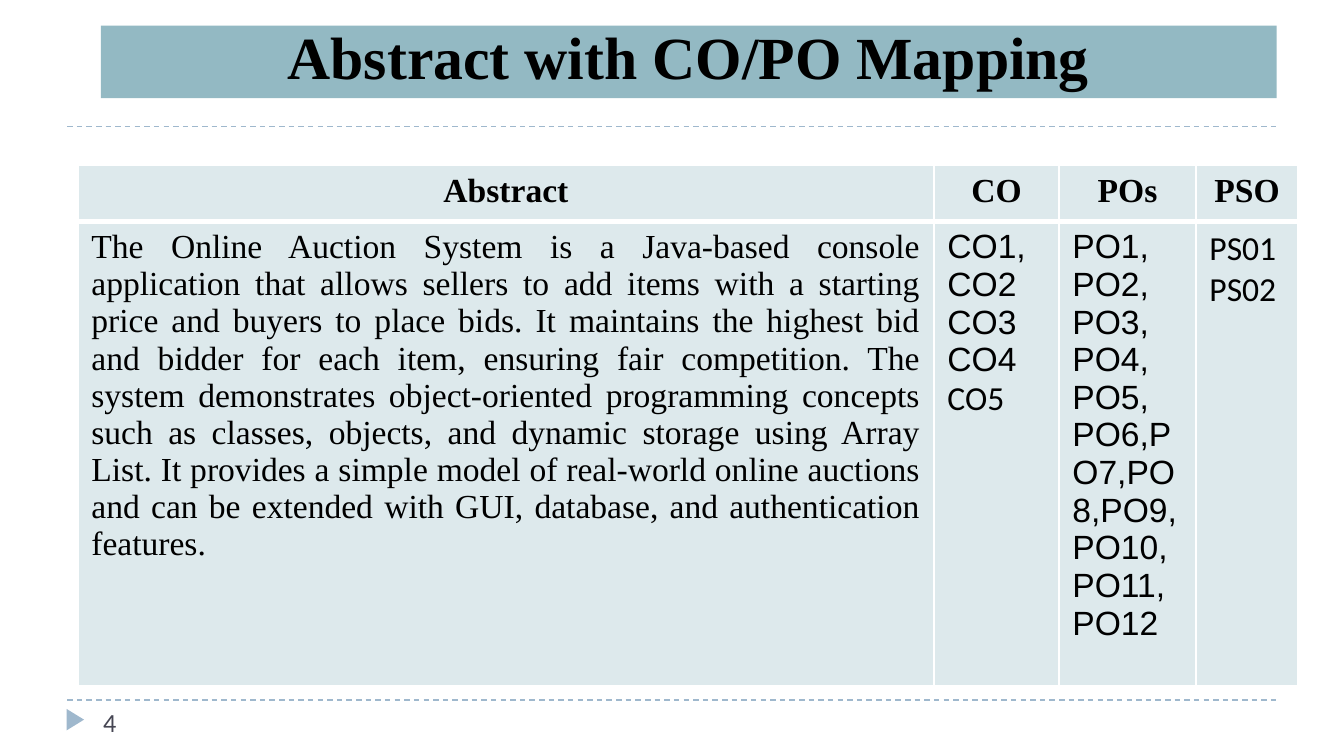
"""Build the abstract slide with its CO/PO mapping table."""
from pptx import Presentation
from pptx.dml.color import RGBColor
from pptx.enum.dml import MSO_LINE
from pptx.enum.shapes import MSO_CONNECTOR, MSO_SHAPE
from pptx.enum.text import MSO_ANCHOR, PP_ALIGN
from pptx.oxml.ns import qn
from pptx.util import Inches, Pt
from lxml import etree

DASH = MSO_LINE.DASH
LINE = MSO_CONNECTOR.STRAIGHT
TRIANGLE = MSO_SHAPE.ISOSCELES_TRIANGLE
BOTTOM = MSO_ANCHOR.BOTTOM
LEFT, CENTER, JUSTIFY = PP_ALIGN.LEFT, PP_ALIGN.CENTER, PP_ALIGN.JUSTIFY
SERIF, ARIAL, CALIBRI = "Times New Roman", "Arial", "Calibri"
COLORS = {"rule": "9FB8CD", "title": "93B9C3", "cell": "DDE9EC",
          "text": "000000", "number": "464653", "border": "FFFFFF"}


def style(para, font, size, color="text", bold=False, align=LEFT):
    para.alignment = align
    for run in para.runs:
        run.font.name = font
        run.font.size = Pt(size)
        run.font.bold = bold
        run.font.color.rgb = RGBColor.from_string(COLORS[color])


def border(cell, widths):
    props = cell._tc.get_or_add_tcPr()
    for side, width in widths.items():
        line = etree.SubElement(props, qn("a:ln" + side), w=str(Pt(width)))
        fill = etree.SubElement(line, qn("a:solidFill"))
        etree.SubElement(fill, qn("a:srgbClr"), val=COLORS["border"])


deck = Presentation()
deck.slide_width, deck.slide_height = Inches(10), Inches(10 * 9 / 16)
slide = deck.slides.add_slide(deck.slide_layouts[5])
shapes = slide.shapes

for top in (5.21, 0.94):
    rule = shapes.add_connector(LINE, Inches(0.5), Inches(top), Inches(9.5), Inches(top))
    rule.line.color.rgb = RGBColor.from_string(COLORS["rule"])
    rule.line.width = Pt(0.75)
    rule.line.dash_style = DASH
    etree.SubElement(rule._element.spPr, qn("a:effectLst"))

mark = shapes.add_shape(TRIANGLE, Inches(0.48), Inches(5.29), Inches(0.16), Inches(0.13))
mark.rotation = 90
mark.shadow.inherit = False
mark.fill.solid()
mark.fill.fore_color.rgb = RGBColor.from_string(COLORS["rule"])
mark.line.fill.background()

title = shapes.title
title.left, title.top = Inches(0.75), Inches(0.19)
title.width, title.height = Inches(8.75), Inches(0.54)
title.fill.solid()
title.fill.fore_color.rgb = RGBColor.from_string(COLORS["title"])
title.text_frame.text = "Abstract with CO/PO Mapping"
title.text_frame.vertical_anchor = BOTTOM
style(title.text_frame.paragraphs[0], SERIF, 32, bold=True, align=CENTER)

number = shapes.add_textbox(Inches(0.67), Inches(5.21), Inches(2.17), Inches(0.3))
number.text_frame.word_wrap = True
number.text_frame.text = "4"
style(number.text_frame.paragraphs[0], CALIBRI, 14, "number")

abstract = (
    "The Online Auction System is a Java-based console application that allows "
    "sellers to add items with a starting price and buyers to place bids. It "
    "maintains the highest bid and bidder for each item, ensuring fair competition. "
    "The system demonstrates object-oriented programming concepts such as classes, "
    "objects, and dynamic storage using Array List. It provides a simple model of "
    "real-world online auctions and can be extended with GUI, database, and "
    "authentication features."
)
columns = [
    (6.37, "Abstract", JUSTIFY, [(abstract, SERIF)]),
    (0.93, "CO", LEFT, [("CO1,CO2", ARIAL), ("CO3 CO4", ARIAL), ("CO5", CALIBRI)]),
    (1.02, "POs", LEFT, [("PO1, PO2, PO3, PO4, PO5,", ARIAL),
                         ("PO6,PO7,PO8,PO9, PO10,", ARIAL),
                         ("PO11,", ARIAL), ("PO12", ARIAL)]),
    (0.76, "PSO", LEFT, [("PS01", CALIBRI), ("PS02", CALIBRI)]),
]
frame = shapes.add_table(2, len(columns), Inches(0.58), Inches(1.23),
                         Inches(9.08), Inches(3.87))
table = frame.table
table.first_row = table.horz_banding = False
table.rows[0].height, table.rows[1].height = Inches(0.42), Inches(3.45)

for col, (width, name, align, items) in enumerate(columns):
    table.columns[col].width = Inches(width)
    head, body = table.cell(0, col), table.cell(1, col)
    head.text_frame.text = name
    style(head.text_frame.paragraphs[0], SERIF, 18, bold=True, align=CENTER)
    body.text_frame.text = "\n".join(text for text, font in items)
    for para, (text, font) in zip(body.text_frame.paragraphs, items):
        style(para, font, 18, align=align)
    border(head, {"L": 1, "R": 1, "T": 1, "B": 3})
    border(body, {"L": 1, "R": 1, "T": 3, "B": 1})
    for cell in (head, body):
        cell.fill.solid()
        cell.fill.fore_color.rgb = RGBColor.from_string(COLORS["cell"])

deck.save("out.pptx")
